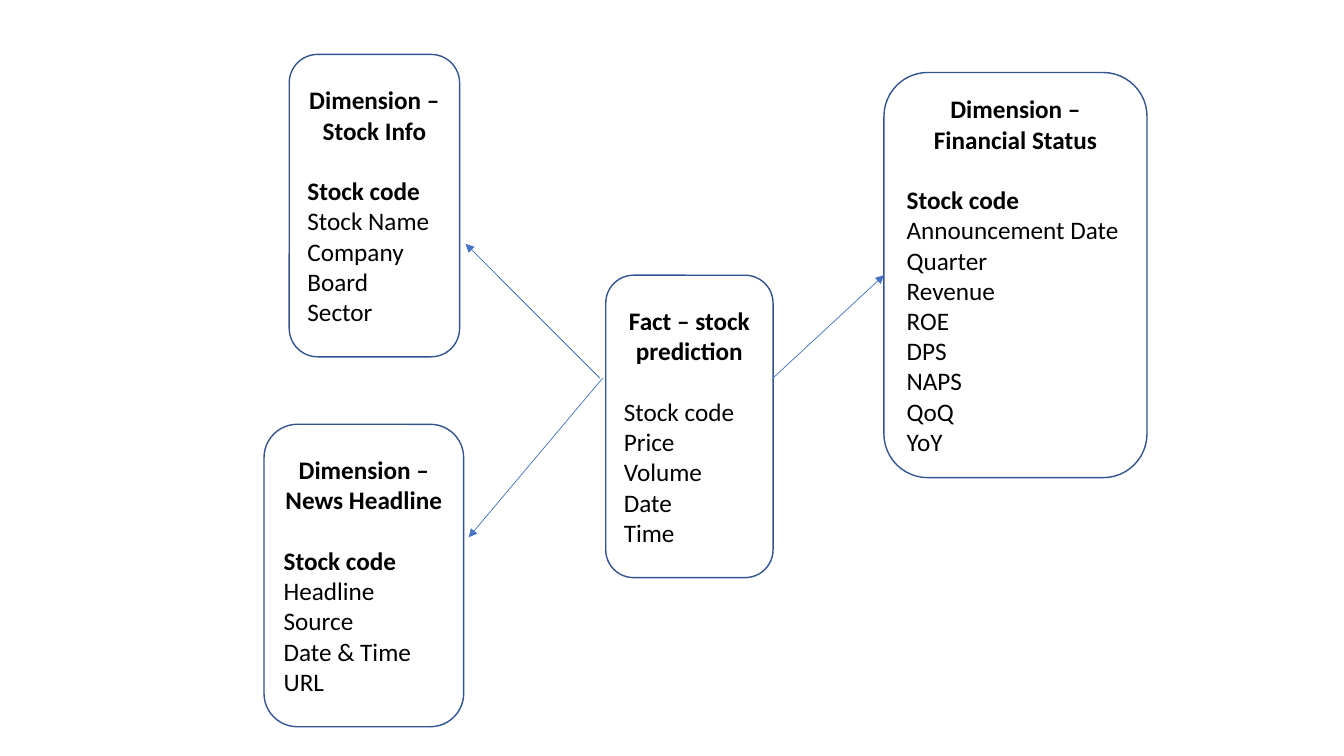
import lxml.etree
import pptx
import pptx.dml.color
import pptx.enum.shapes
import pptx.enum.text
import pptx.oxml.ns
import pptx.util

Pt = pptx.util.Pt
ALIGN = pptx.enum.text.PP_ALIGN

BLACK = pptx.dml.color.RGBColor(0x00, 0x00, 0x00)
OUTLINE = pptx.dml.color.RGBColor(0x32, 0x54, 0x91)
ARROW = pptx.dml.color.RGBColor(0x44, 0x72, 0xC4)

FONT = "Calibri"
TEXT_SIZE = 18
TITLE_GAP = 21.6  # one line of text

# Title, key is bold, fields, (left, top, width, height)
TABLES = [
    ("Fact – stock prediction", False,
     ["Stock code", "Price", "Volume", "Date", "Time"],
     (432.7, 196.6, 119.5, 216)),
    ("Dimension – Stock Info", True,
     ["Stock code", "Stock Name", "Company", "Board", "Sector"],
     (206.6, 38.9, 121.7, 216)),
    ("Dimension – News Headline", True,
     ["Stock code", "Headline", "Source", "Date & Time", "URL"],
     (188.6, 303.1, 142.6, 216)),
    ("Dimension – Financial Status", True,
     ["Stock code", "Announcement Date", "Quarter", "Revenue", "ROE",
      "DPS", "NAPS", "QoQ", "YoY"],
     (631.4, 51.8, 187.9, 289.4)),
]

# Start and end of each link from the fact table to a dimension
LINKS = [
    ((428.4, 270), (332.6, 174.2)),
    ((430.6, 270), (334.8, 383.8)),
    ((552.2, 270), (631.4, 196.6)),
]


def write_text(paragraph, text, bold=False, align=ALIGN.LEFT, space_after=0):
    paragraph.alignment = align
    paragraph.space_after = Pt(space_after)
    run = paragraph.add_run()
    run.text = text
    run.font.name = FONT
    run.font.size = Pt(TEXT_SIZE)
    run.font.bold = bold
    run.font.color.rgb = BLACK


def add_table_box(slide, title, key_bold, fields, bounds):
    shape = slide.shapes.add_shape(
        pptx.enum.shapes.MSO_SHAPE.ROUNDED_RECTANGLE,
        *(Pt(length) for length in bounds))
    shape.shadow.inherit = False
    shape.fill.background()
    shape.line.color.rgb = OUTLINE
    shape.line.width = Pt(1)

    frame = shape.text_frame
    frame.word_wrap = True
    frame.vertical_anchor = pptx.enum.text.MSO_ANCHOR.MIDDLE
    write_text(frame.paragraphs[0], title, bold=True, align=ALIGN.CENTER,
               space_after=TITLE_GAP)
    for index, field in enumerate(fields):
        write_text(frame.add_paragraph(), field, bold=key_bold and index == 0)


def add_arrow(slide, start, end):
    connector = slide.shapes.add_connector(
        pptx.enum.shapes.MSO_CONNECTOR.STRAIGHT,
        *(Pt(length) for length in start + end))
    connector.line.color.rgb = ARROW
    connector.line.width = Pt(0.5)

    # Arrowhead at the end, and no shadow
    qualify = pptx.oxml.ns.qn
    properties = connector.element.spPr
    line = properties.find(qualify("a:ln"))
    lxml.etree.SubElement(line, qualify("a:tailEnd"), type="triangle")
    lxml.etree.SubElement(properties, qualify("a:effectLst"))


def main():
    presentation = pptx.Presentation()
    presentation.slide_width = Pt(960)
    presentation.slide_height = Pt(540)
    slide = presentation.slides.add_slide(presentation.slide_layouts[6])

    # Fact and dimension tables
    for title, key_bold, fields, bounds in TABLES:
        add_table_box(slide, title, key_bold, fields, bounds)

    # Links between them
    for start, end in LINKS:
        add_arrow(slide, start, end)

    presentation.save("out.pptx")


if __name__ == "__main__":
    main()
